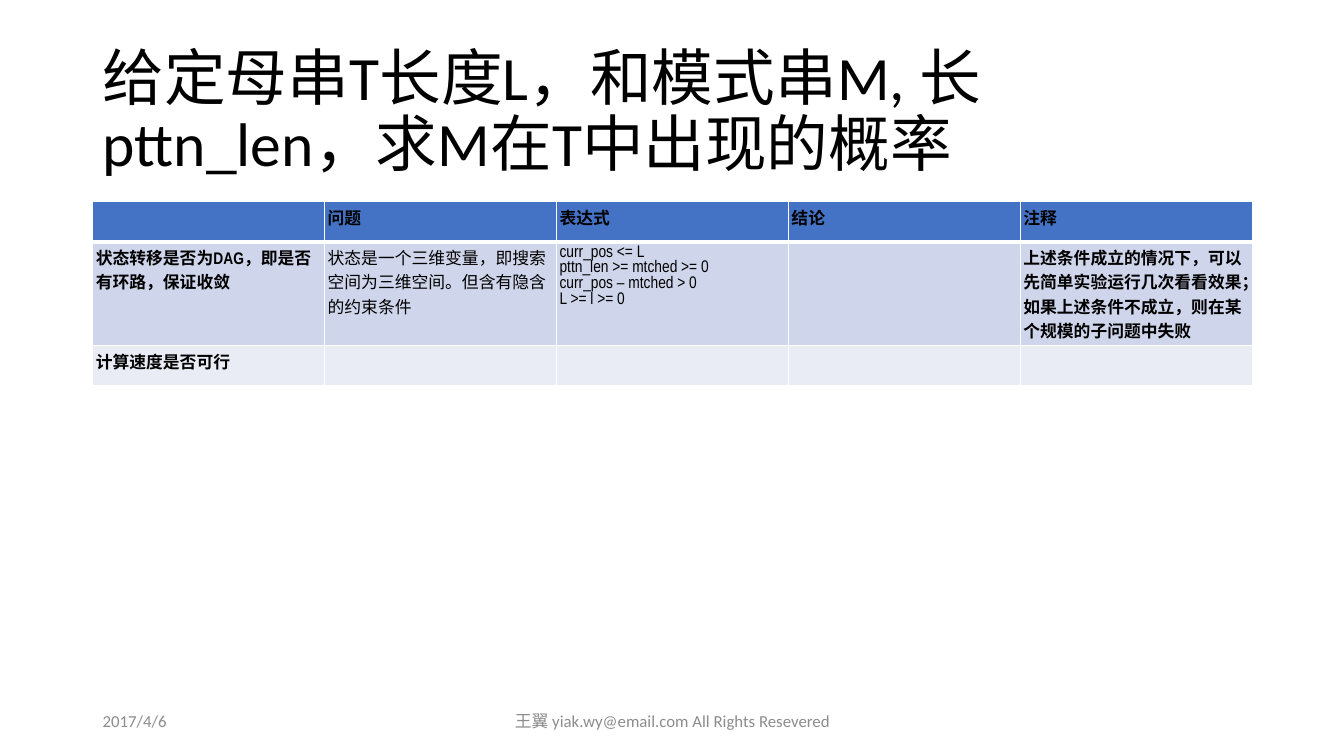
from dataclasses import dataclass

from lxml.etree import SubElement
from pptx import Presentation
from pptx.dml.color import RGBColor as RGB
from pptx.enum.text import MSO_ANCHOR as Anchor, PP_ALIGN as Align
from pptx.oxml.ns import qn
from pptx.util import Inches, Pt


@dataclass(frozen=True)
class Theme:
    """Colours, fonts and type sizes of the slide."""

    ink: str = "000000"
    grey: str = "8C8C8C"
    rule: str = "FFFFFF"
    fills: tuple = ("4472C4", "CFD5EA", "E9EBF5")
    face: str = "Calibri"
    grid: str = "Arial Narrow"
    head: int = 44
    small: int = 12


THEME = Theme()
TITLE = "给定母串T长度L，和模式串M, 长pttn_len，求M在T中出现的概率"
LIMITS = "curr_pos <= L\npttn_len >= mtched >= 0\ncurr_pos – mtched > 0\nL >= l >= 0"
ROWS = [
    ["", "问题", "表达式", "结论", "注释"],
    [
        "状态转移是否为DAG，即是否有环路，保证收敛",
        "状态是一个三维变量，即搜索空间为三维空间。但含有隐含的约束条件",
        LIMITS,
        "",
        "上述条件成立的情况下，可以先简单实验运行几次看看效果；如果上述条件不成立，则在某个规模的子问题中失败",
    ],
    ["计算速度是否可行", "", "", "", ""],
]
HEIGHTS = [0.4, 1.03, 0.4]
PLAIN = {(1, 1), (1, 2)}


def style(par, size, face, ink, bold=False):
    """Set the font of a whole paragraph."""
    font = par.font
    font.size, font.name, font.bold = Pt(size), face, bold
    font.color.rgb = RGB.from_string(ink)


def add_text(slide, box, text, size, ink, align=Align.LEFT, space=1.0):
    """Add a wrapped text box centred vertically in its box."""
    frame = slide.shapes.add_textbox(*map(Inches, box)).text_frame
    frame.word_wrap = True
    frame.vertical_anchor = Anchor.MIDDLE
    frame.text = text
    par = frame.paragraphs[0]
    par.alignment, par.line_spacing = align, space
    style(par, size, THEME.face, ink)


def add_rules(cell, widths):
    """Draw the cell borders, given in points by side."""
    props = cell._tc.get_or_add_tcPr()
    for spot, (side, width) in enumerate(widths.items()):
        line = SubElement(props, qn(f"a:ln{side}"), w=str(Pt(width)))
        fill = SubElement(line, qn("a:solidFill"))
        SubElement(fill, qn("a:srgbClr"), val=THEME.rule)
        props.insert(spot, line)


def fill_cell(cell, text, row, bold):
    """Fill one table cell with its text, colour and borders."""
    cell.text = text
    cell.margin_left = cell.margin_right = Inches(0.03)
    cell.margin_top = cell.margin_bottom = Inches(0.03)
    cell.fill.solid()
    cell.fill.fore_color.rgb = RGB.from_string(THEME.fills[row])
    for par in cell.text_frame.paragraphs:
        style(par, THEME.small, THEME.grid, THEME.ink, bold)
    top, base = (3 if row == 1 else 1), (3 if row == 0 else 1)
    add_rules(cell, {"L": 1, "R": 1, "T": top, "B": base})


def add_grid(slide, box):
    """Add the table of questions with equal columns."""
    table = slide.shapes.add_table(len(ROWS), len(ROWS[0]), *map(Inches, box)).table
    for row, texts in enumerate(ROWS):
        table.rows[row].height = Inches(HEIGHTS[row])
        for col, text in enumerate(texts):
            fill_cell(table.cell(row, col), text, row, (row, col) not in PLAIN)


def main():
    """Build the slide and save it."""
    deck = Presentation()
    deck.slide_width, deck.slide_height = Inches(13.33), Inches(7.5)
    slide = deck.slides.add_slide(deck.slide_layouts[6])
    add_text(slide, (0.92, 0.4, 11.5, 1.45), TITLE, THEME.head, THEME.ink, space=0.9)
    add_grid(slide, (0.92, 2, 11.5, sum(HEIGHTS)))
    add_text(slide, (0.92, 6.95, 3, 0.4), "2017/4/6", THEME.small, THEME.grey)
    add_text(slide, (4.42, 6.95, 4.5, 0.4), "王翼 yiak.wy@email.com All Rights Resevered",
             THEME.small, THEME.grey, Align.CENTER)
    deck.save("out.pptx")


if __name__ == "__main__":
    main()
